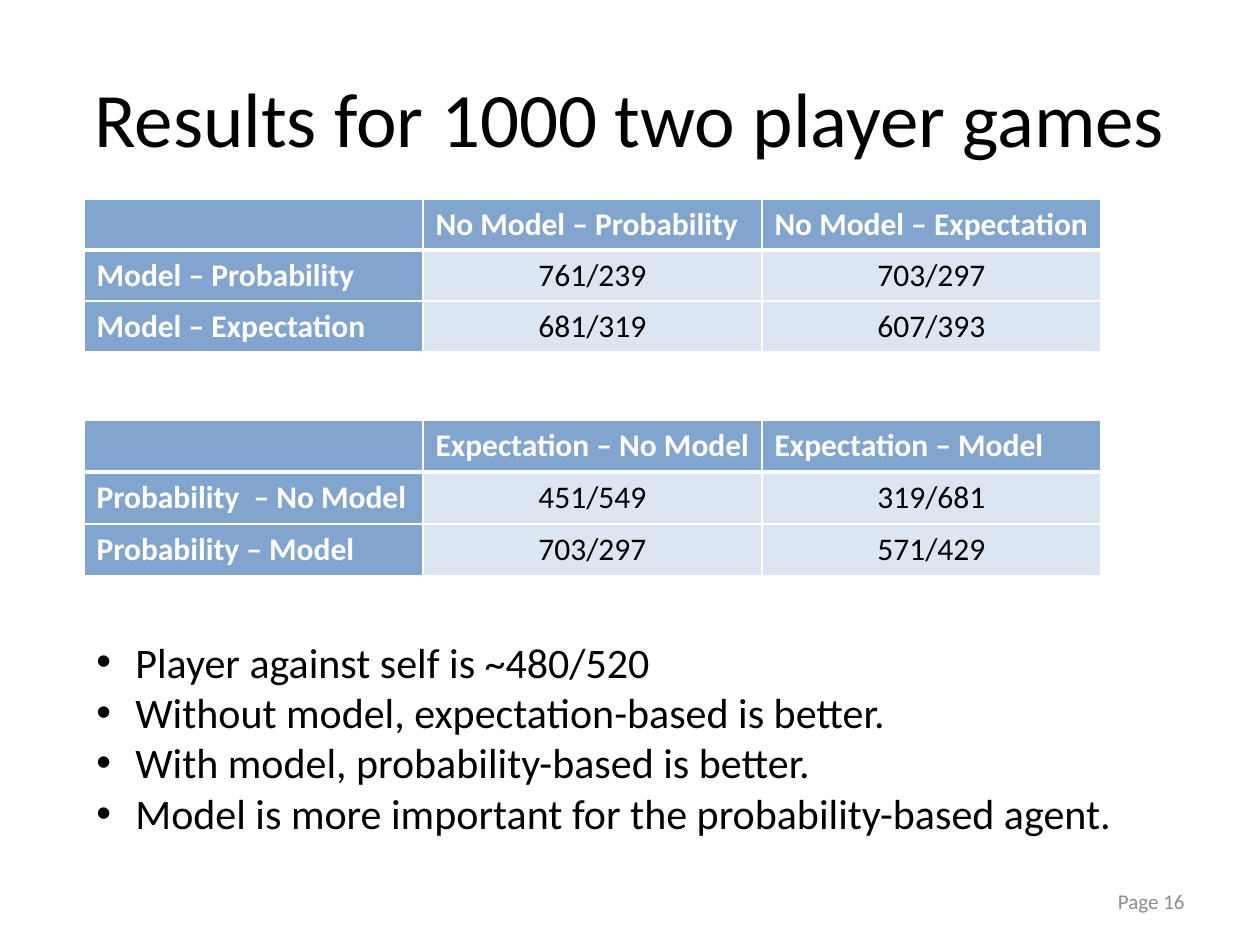
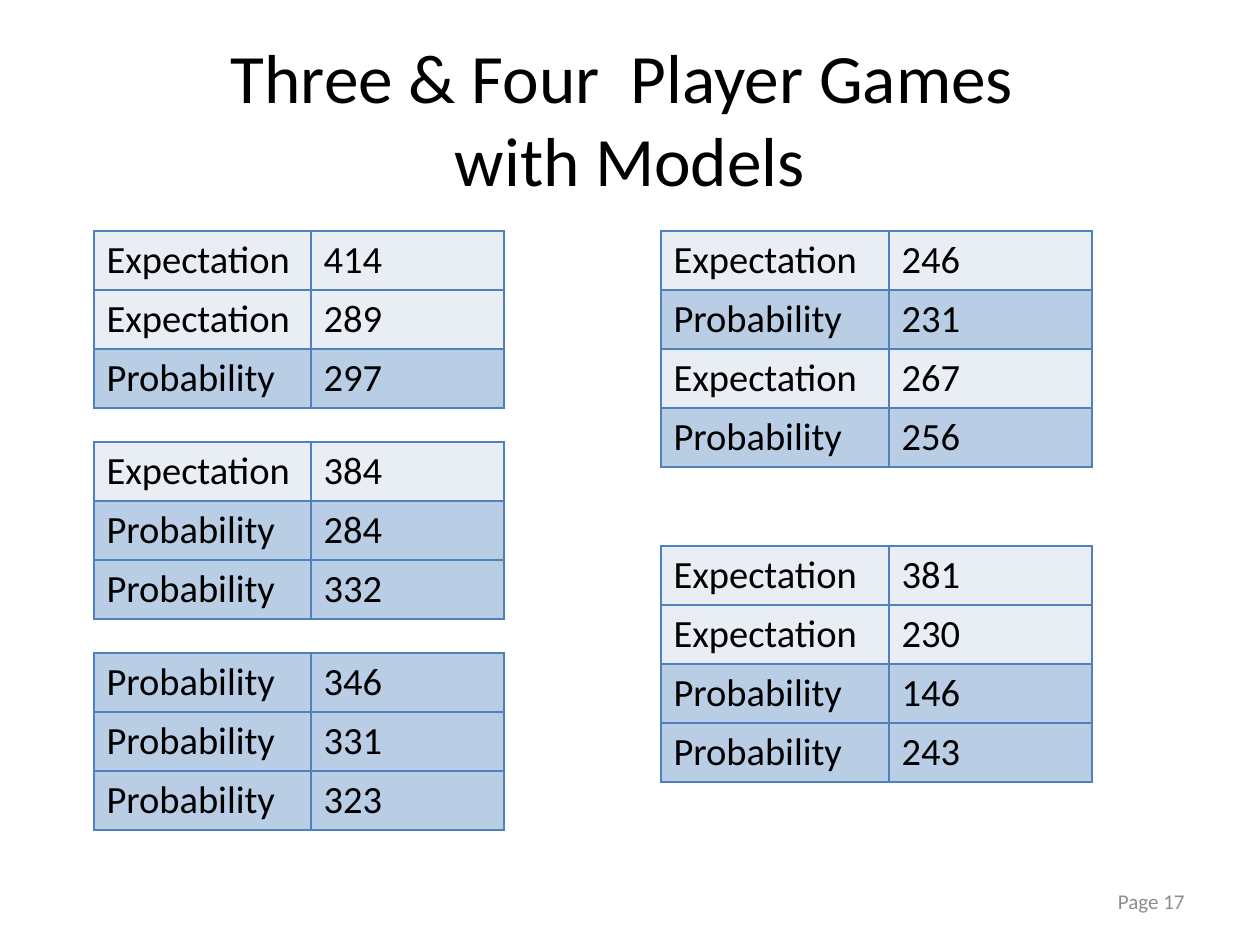
from dataclasses import dataclass

from lxml.etree import SubElement
from pptx import Presentation
from pptx.dml.color import RGBColor
from pptx.enum.text import MSO_ANCHOR as Anchor, PP_ALIGN as Align
from pptx.oxml.ns import qn
from pptx.util import Emu, Pt

PX_PER_INCH = 126
FONT = "Calibri"
COLORS = {
    "text": "000000",
    "page": "8C8C8C",
    "white": "FFFFFF",
    "heading": "82A5D0",
    "result": "DCE6F2",
    "grid": "4F81BD",
    "Expectation": "E9EDF4",
    "Probability": "B9CDE5",
}


@dataclass(frozen=True)
class Box:
    left: int
    top: int
    width: int
    height: int


@dataclass(frozen=True)
class TextStyle:
    size: float
    color: str = "text"
    bold: bool = False
    align: Align = Align.LEFT


@dataclass(frozen=True)
class TableData:
    left: int
    top: int
    columns: tuple[int, ...]
    row_height: int
    rows: tuple[tuple[str, ...], ...]


TITLE_BOX = Box(63, 38, 1134, 158)
PAGE_BOX = Box(903, 876, 294, 50)
FINDINGS_BOX = Box(84, 630, 1103, 267)
FINDING_INDENT = 39

PAGE_STYLE = TextStyle(12, "page", align=Align.RIGHT)
FINDING_STYLE = TextStyle(24)
HEADING_STYLE = TextStyle(18, "white", bold=True)
RESULT_STYLE = TextStyle(18, align=Align.CENTER)
SCORE_STYLE = TextStyle(22)

DUEL_COLUMNS = (339, 339, 339)
DUELS = (
    TableData(84, 199, DUEL_COLUMNS, 51, (
        ("", "No Model – Probability", "No Model – Expectation"),
        ("Model – Probability", "761/239", "703/297"),
        ("Model – Expectation", "681/319", "607/393"),
    )),
    TableData(84, 420, DUEL_COLUMNS, 52, (
        ("", "Expectation – No Model", "Expectation – Model"),
        ("Probability  – No Model", "451/549", "319/681"),
        ("Probability – Model", "703/297", "571/429"),
    )),
)
FINDINGS = (
    "Player against self is ~480/520",
    "Without model, expectation-based is better.",
    "With model, probability-based is better.",
    "Model is more important for the probability-based agent.",
)

SCORE_TOP = 231
SCORE_ROW_HEIGHT = 59
EXP, PROB = "Expectation", "Probability"
THREE_PLAYER_GAMES = (
    ((EXP, "414"), (EXP, "289"), (PROB, "297")),
    ((EXP, "384"), (PROB, "284"), (PROB, "332")),
    ((PROB, "346"), (PROB, "331"), (PROB, "323")),
)
FOUR_PLAYER_GAMES = (
    ((EXP, "246"), (PROB, "231"), (EXP, "267"), (PROB, "256")),
    ((EXP, "381"), (EXP, "230"), (PROB, "146"), (PROB, "243")),
)


def px(length: int) -> Emu:
    return Emu(round(length * 914400 / PX_PER_INCH))


def rgb(color: str) -> RGBColor:
    return RGBColor.from_string(COLORS[color])


def write(paragraph, text: str, style: TextStyle) -> None:
    """Add one run per line of text, with line breaks between them."""
    paragraph.alignment = style.align
    for number, line in enumerate(text.split("\n")):
        if number:
            paragraph.add_line_break()
        run = paragraph.add_run()
        run.text = line
        run.font.name = FONT
        run.font.size = Pt(style.size)
        run.font.bold = style.bold
        run.font.color.rgb = rgb(style.color)


def add_text_frame(slide, box: Box, anchor: Anchor):
    frame = slide.shapes.add_textbox(
        px(box.left), px(box.top), px(box.width), px(box.height)).text_frame
    frame.word_wrap = True
    frame.vertical_anchor = anchor
    return frame


def add_slide(deck, title: str, title_size: float, page: int):
    """Add a slide with the shared title and page number."""
    slide = deck.slides.add_slide(deck.slide_layouts[6])
    title_style = TextStyle(title_size, align=Align.CENTER)
    for box, text, style in ((TITLE_BOX, title, title_style),
                             (PAGE_BOX, f"Page {page}", PAGE_STYLE)):
        frame = add_text_frame(slide, box, Anchor.MIDDLE)
        write(frame.paragraphs[0], text, style)
    return slide


def add_findings(slide) -> None:
    frame = add_text_frame(slide, FINDINGS_BOX, Anchor.TOP)
    for number, finding in enumerate(FINDINGS):
        paragraph = frame.add_paragraph() if number else frame.paragraphs[0]
        properties = paragraph._p.get_or_add_pPr()
        properties.set("marL", str(px(FINDING_INDENT)))
        properties.set("indent", str(-px(FINDING_INDENT)))
        SubElement(properties, qn("a:buFont"), typeface="Arial")
        SubElement(properties, qn("a:buChar"), char="•")
        write(paragraph, finding, FINDING_STYLE)


def add_table(slide, data: TableData):
    table = slide.shapes.add_table(
        len(data.rows), len(data.columns), px(data.left), px(data.top),
        px(sum(data.columns)), px(data.row_height * len(data.rows))).table
    table.first_row = table.horz_banding = False
    for column, width in zip(table.columns, data.columns):
        column.width = px(width)
    for row in table.rows:
        row.height = px(data.row_height)
    return table


def set_borders(cell, color: str, top: int = 1, bottom: int = 1) -> None:
    """Draw the four cell borders; call before setting the fill."""
    properties = cell._tc.get_or_add_tcPr()
    for side, width in (("L", 1), ("R", 1), ("T", top), ("B", bottom)):
        line = SubElement(properties, qn(f"a:ln{side}"), w=str(Pt(width)))
        fill = SubElement(line, qn("a:solidFill"))
        SubElement(fill, qn("a:srgbClr"), val=COLORS[color])


def fill_cell(cell, fill: str, text: str, style: TextStyle) -> None:
    cell.fill.solid()
    cell.fill.fore_color.rgb = rgb(fill)
    if text:
        write(cell.text_frame.paragraphs[0], text, style)


def add_duel_table(slide, data: TableData) -> None:
    """Add a win/loss table with a heading row and a heading column."""
    table = add_table(slide, data)
    for r, row in enumerate(data.rows):
        for c, text in enumerate(row):
            cell = table.cell(r, c)
            set_borders(cell, "white", top=3 if r == 1 else 1,
                        bottom=3 if r == 0 else 1)
            if r == 0 or c == 0:
                fill_cell(cell, "heading", text, HEADING_STYLE)
            else:
                fill_cell(cell, "result", text, RESULT_STYLE)


def add_score_column(slide, games, left: int, columns: tuple[int, ...],
                     pitch: int) -> None:
    """Stack score tables, each row coloured by its strategy."""
    for number, game in enumerate(games):
        data = TableData(left, SCORE_TOP + number * pitch, columns,
                         SCORE_ROW_HEIGHT, game)
        table = add_table(slide, data)
        for r, row in enumerate(game):
            for c, text in enumerate(row):
                cell = table.cell(r, c)
                set_borders(cell, "grid")
                fill_cell(cell, row[0], text, SCORE_STYLE)


def main() -> None:
    deck = Presentation()
    deck.slide_width, deck.slide_height = px(1260), px(945)

    two_players = add_slide(deck, "Results for 1000 two player games", 44, 16)
    for duel in DUELS:
        add_duel_table(two_players, duel)
    add_findings(two_players)

    more_players = add_slide(
        deck, "Three & Four  Player Games \nwith Models", 39.6, 17)
    add_score_column(more_players, THREE_PLAYER_GAMES, 94, (217, 193), 211)
    add_score_column(more_players, FOUR_PLAYER_GAMES, 661, (228, 203), 315)

    deck.save("out.pptx")


if __name__ == "__main__":
    main()
